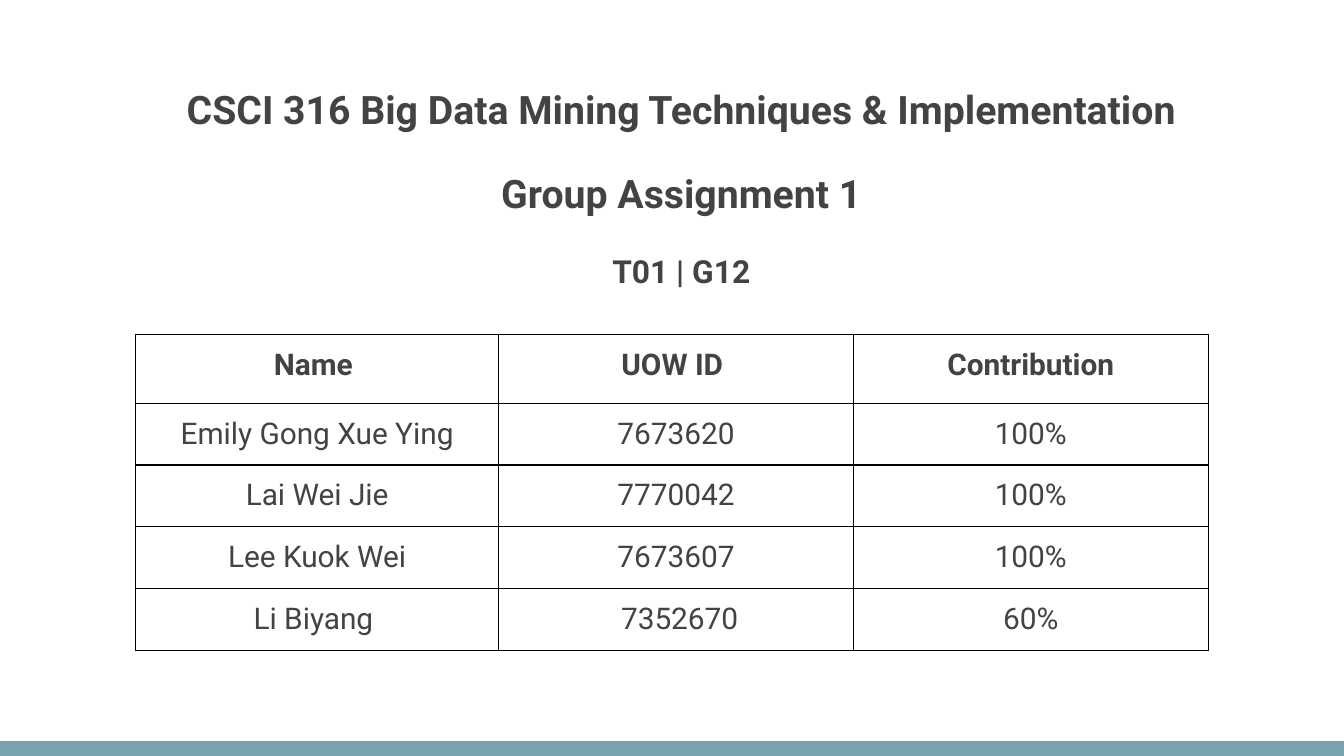
import dataclasses

import lxml.etree
import pptx
import pptx.dml.color
import pptx.enum.shapes
import pptx.enum.text
import pptx.oxml.ns
import pptx.util


@dataclasses.dataclass(frozen=True)
class Theme:
    font: str = "Roboto"
    ink: str = "434343"
    accent: str = "76A5AF"
    border: str = "000000"
    border_width: float = 0.75
    title_size: int = 21
    group_size: int = 17
    table_size: int = 16


theme = Theme()
inches = pptx.util.Inches
WIDTH = inches(10)
HEIGHT = WIDTH * 9 // 16
PADDING = inches(0.1)


def style_paragraph(paragraph, size, bold):
    paragraph.alignment = pptx.enum.text.PP_ALIGN.CENTER
    for run in paragraph.runs:
        run.font.name = theme.font
        run.font.size = pptx.util.Pt(size)
        run.font.bold = bold
        run.font.color.rgb = pptx.dml.color.RGBColor.from_string(theme.ink)


def draw_borders(cell):
    properties = cell._tc.get_or_add_tcPr()
    qn = pptx.oxml.ns.qn
    for side in ("a:lnL", "a:lnR", "a:lnT", "a:lnB"):
        line = lxml.etree.SubElement(properties, qn(side), w=str(pptx.util.Pt(theme.border_width)))
        fill = lxml.etree.SubElement(line, qn("a:solidFill"))
        lxml.etree.SubElement(fill, qn("a:srgbClr"), val=theme.border)


deck = pptx.Presentation()
deck.slide_width, deck.slide_height = WIDTH, HEIGHT
slide = deck.slides.add_slide(deck.slide_layouts[6])

# Footer band
band_height = inches(0.11)
footer = slide.shapes.add_shape(
    pptx.enum.shapes.MSO_SHAPE.RECTANGLE, 0, HEIGHT - band_height, WIDTH, band_height)
footer.shadow.inherit = False
footer.fill.solid()
footer.fill.fore_color.rgb = pptx.dml.color.RGBColor.from_string(theme.accent)
footer.line.fill.background()

# Headings
headings = (
    ("CSCI 316 Big Data Mining Techniques & Implementation", theme.title_size),
    ("Group Assignment 1", theme.title_size),
    ("T01 | G12", theme.group_size),
)
heading_frame = slide.shapes.add_textbox(
    inches(0.34), inches(0.48), inches(9.46), inches(2.1)).text_frame
heading_frame.word_wrap = True
heading_frame.margin_left = heading_frame.margin_right = PADDING
heading_frame.margin_top = heading_frame.margin_bottom = PADDING
heading_frame.text = "\n".join(text for text, size in headings)
for index, (paragraph, (text, size)) in enumerate(zip(heading_frame.paragraphs, headings)):
    style_paragraph(paragraph, size, True)
    paragraph.line_spacing = 1.15
    paragraph.space_before = pptx.util.Pt(16 if index else 0)

# Group members
members = (
    ("Name ", "UOW ID ", "Contribution"),
    ("Emily Gong Xue Ying", "7673620", "100%"),
    ("Lai Wei Jie", "7770042", "100%"),
    ("Lee Kuok Wei", "7673607", "100%"),
    ("Li Biyang ", " 7352670", "60%"),
)
column_widths = [inches(width) for width in (2.7, 2.64, 2.64)]
row_heights = [inches(0.51)] + [inches(0.46)] * (len(members) - 1)
member_table = slide.shapes.add_table(
    len(members), len(column_widths), inches(1.01), inches(2.49),
    sum(column_widths), sum(row_heights)).table
member_table.first_row = member_table.horz_banding = False
for column, width in zip(member_table.columns, column_widths):
    column.width = width
for row_index, (row, height, member) in enumerate(zip(member_table.rows, row_heights, members)):
    row.height = height
    for cell, text in zip(row.cells, member):
        cell.text_frame.text = text
        style_paragraph(cell.text_frame.paragraphs[0], theme.table_size, row_index == 0)
        cell.margin_left = cell.margin_right = cell.margin_top = PADDING
        cell.margin_bottom = inches(0.09)
        draw_borders(cell)
        cell.fill.background()

deck.save("out.pptx")
